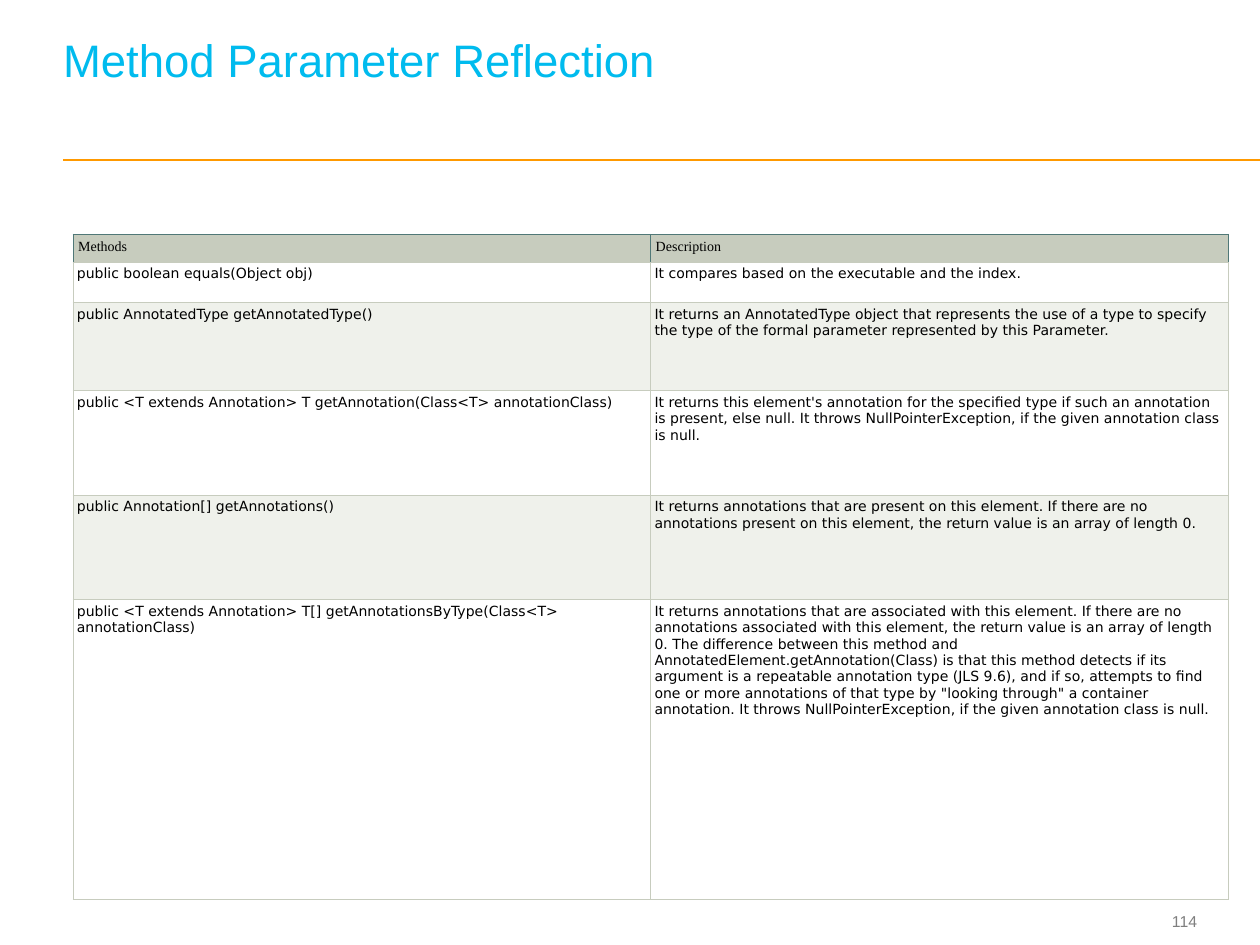
"""Build the slide on method parameter reflection."""
from typing import NamedTuple

from lxml.etree import SubElement
from pptx import Presentation
from pptx.dml.color import RGBColor
from pptx.enum.shapes import MSO_CONNECTOR as Connector
from pptx.enum.text import MSO_ANCHOR as Anchor, MSO_AUTO_SIZE as AutoSize, PP_ALIGN as Align
from pptx.oxml.ns import qn
from pptx.util import Inches, Pt

CYAN = RGBColor(0x00, 0xBB, 0xEE)
ORANGE = RGBColor(0xFF, 0x99, 0x00)
GRAY = RGBColor(0x7F, 0x7F, 0x7F)
BLACK = RGBColor(0x00, 0x00, 0x00)
WHITE = RGBColor(0xFF, 0xFF, 0xFF)
SAGE = RGBColor(0xC7, 0xCC, 0xBE)
PALE = RGBColor(0xEF, 0xF1, 0xEB)
TEAL = RGBColor(0x50, 0x78, 0x77)


class Method(NamedTuple):
    signature: str
    description: str
    height: float


class CellStyle(NamedTuple):
    font: str
    margin: float
    fill: RGBColor
    edge: RGBColor


HEADER = Method("Methods", "Description", 0.22)
METHODS = [
    Method("public boolean equals(Object obj)",
           "It compares based on the executable and the index.", 0.32),
    Method("public AnnotatedType getAnnotatedType()",
           "It returns an AnnotatedType object that represents the use of a type to specify "
           "the type of the formal parameter represented by this Parameter.", 0.7),
    Method("public <T extends Annotation> T getAnnotation(Class<T> annotationClass)",
           "It returns this element's annotation for the specified type if such an annotation "
           "is present, else null. It throws NullPointerException, if the given annotation "
           "class is null.", 0.83),
    Method("public Annotation[] getAnnotations()",
           "It returns annotations that are present on this element. If there are no "
           "annotations present on this element, the return value is an array of length 0.",
           0.83),
    Method("public <T extends Annotation> T[] getAnnotationsByType(Class<T> annotationClass)",
           "It returns annotations that are associated with this element. If there are no "
           "annotations associated with this element, the return value is an array of length "
           "0. The difference between this method and AnnotatedElement.getAnnotation(Class) "
           "is that this method detects if its argument is a repeatable annotation type "
           "(JLS 9.6), and if so, attempts to find one or more annotations of that type by "
           "\"looking through\" a container annotation. It throws NullPointerException, if "
           "the given annotation class is null.", 2.38),
]
HEADER_STYLE = CellStyle("Times New Roman", 0.04, SAGE, TEAL)
BODY_STYLES = [CellStyle("DejaVu Sans", 0.03, fill, SAGE) for fill in (WHITE, PALE)]


def write(frame, text: str, *, font: str, size: float, color: RGBColor,
          align=Align.LEFT, line_spacing=None) -> None:
    """Fill a text frame with one formatted paragraph."""
    para = frame.paragraphs[0]
    para.alignment = align
    para.line_spacing = line_spacing
    span = para.add_run()
    span.text = text
    span.font.name = font
    span.font.size = Pt(size)
    span.font.color.rgb = color


def set_margins(target, margin: float) -> None:
    """Give a cell or text frame equal margins."""
    target.margin_left = target.margin_right = Inches(margin)
    target.margin_top = target.margin_bottom = Inches(margin)


def add_borders(cell, edge: RGBColor) -> None:
    """Draw the cell borders, with the bottom one always in sage."""
    properties = cell._tc.get_or_add_tcPr()
    for side, color in (("L", edge), ("R", edge), ("T", edge), ("B", SAGE)):
        line = SubElement(properties, qn(f"a:ln{side}"), w=str(Pt(0.6)))
        fill = SubElement(line, qn("a:solidFill"))
        SubElement(fill, qn("a:srgbClr"), val=str(color))


def add_method_table(page) -> None:
    """Add the table of methods and descriptions."""
    rows = [HEADER, *METHODS]
    height = sum(row.height for row in rows)
    table = page.shapes.add_table(len(rows), 2, Inches(0.58), Inches(1.86),
                                  Inches(9.17), Inches(height)).table
    for index, method in enumerate(rows):
        table.rows[index].height = Inches(method.height)
        style = BODY_STYLES[(index - 1) % 2] if index else HEADER_STYLE
        for column, text in enumerate((method.signature, method.description)):
            cell = table.cell(index, column)
            set_margins(cell, style.margin)
            add_borders(cell, style.edge)
            cell.fill.solid()
            cell.fill.fore_color.rgb = style.fill
            write(cell.text_frame, text, font=style.font, size=8, color=BLACK)


def add_title(page) -> None:
    """Place and format the slide title."""
    title = page.shapes.title
    title.left, title.top = Inches(0.5), Inches(0.19)
    title.width, title.height = Inches(8.97), Inches(0.86)
    frame = title.text_frame
    frame.auto_size = AutoSize.NONE
    frame.vertical_anchor = Anchor.BOTTOM
    set_margins(frame, 0)
    frame.margin_bottom = Inches(0.36)
    write(frame, "Method Parameter Reflection", font="Arial", size=26, color=CYAN,
          line_spacing=Pt(26))


def add_rule(page) -> None:
    """Add the line under the title."""
    rule = page.shapes.add_connector(Connector.STRAIGHT, Inches(0.5), Inches(1.27),
                                     Inches(10), Inches(1.27))
    rule.line.color.rgb = ORANGE
    rule.line.width = Pt(1)
    SubElement(rule._element.spPr, qn("a:effectLst"))


def add_page_number(page) -> None:
    """Add the page number at the bottom right."""
    box = page.shapes.add_textbox(Inches(8.91), Inches(7.18), Inches(0.59), Inches(0.27))
    frame = box.text_frame
    frame.word_wrap = True
    frame.vertical_anchor = Anchor.MIDDLE
    set_margins(frame, 0)
    write(frame, "114", font="Arial", size=9, color=GRAY, align=Align.RIGHT)


def main() -> None:
    """Create and save the deck."""
    deck = Presentation()
    deck.slide_width, deck.slide_height = Inches(10), Inches(7.5)
    page = deck.slides.add_slide(deck.slide_layouts[5])
    add_rule(page)
    add_page_number(page)
    add_title(page)
    add_method_table(page)
    deck.save("out.pptx")


if __name__ == "__main__":
    main()
